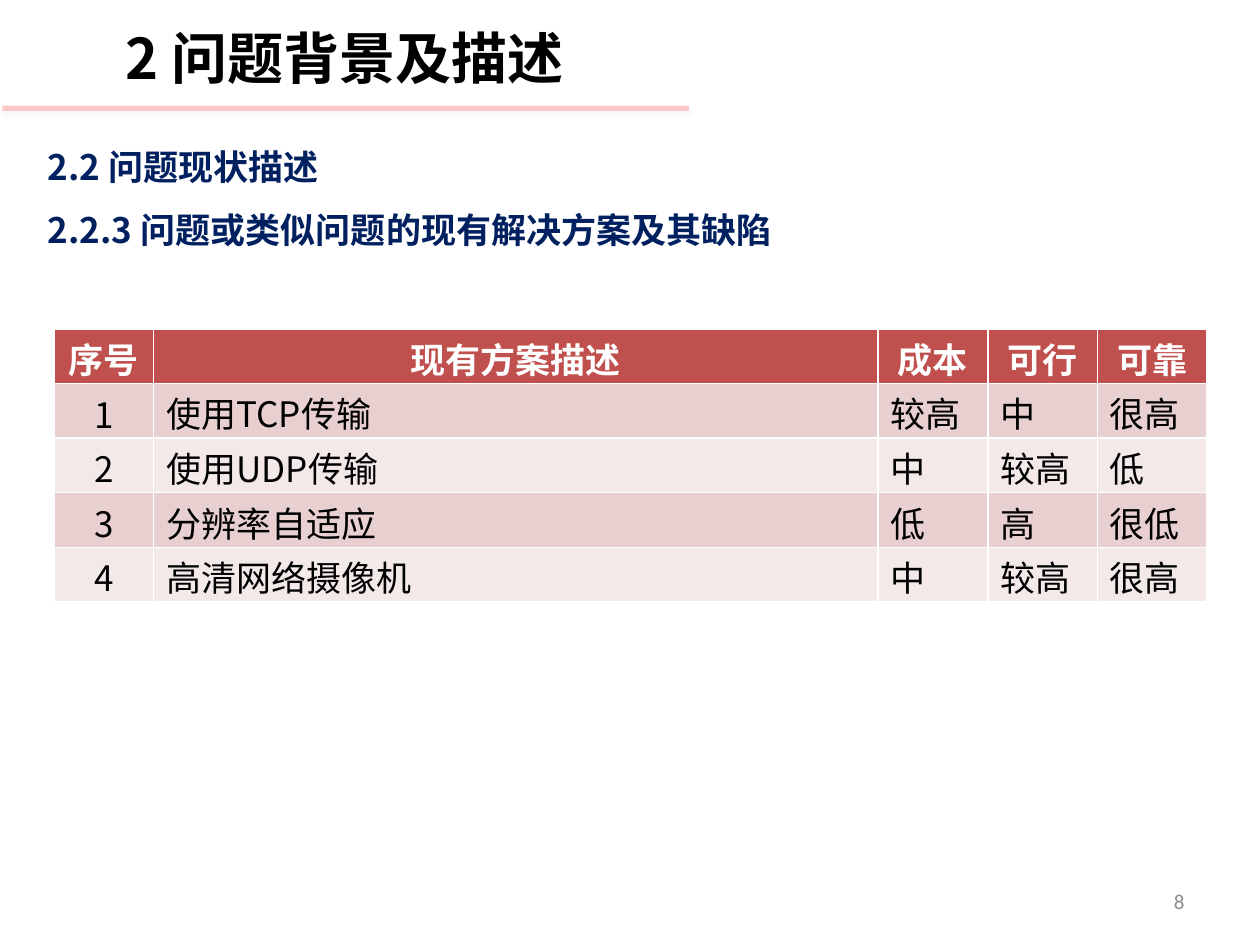
from lxml import etree
from pptx import Presentation
from pptx.dml.color import RGBColor
from pptx.enum.shapes import MSO_CONNECTOR
from pptx.enum.text import MSO_ANCHOR, MSO_AUTO_SIZE, PP_ALIGN
from pptx.oxml import parse_xml
from pptx.oxml.ns import nsdecls, qn
from pptx.util import Inches, Pt

LEFT, CENTER, RIGHT = PP_ALIGN.LEFT, PP_ALIGN.CENTER, PP_ALIGN.RIGHT
TOP, MIDDLE = MSO_ANCHOR.TOP, MSO_ANCHOR.MIDDLE
NO_FIT = MSO_AUTO_SIZE.NONE
STRAIGHT = MSO_CONNECTOR.STRAIGHT

CJK, LATIN = "Noto Sans CJK SC", "Calibri"
COLORS = {
    "text": "000000", "heading": "002060", "number": "8C8C8C", "rule": "FF0000",
    "shadow": "808080", "header": "C0504D", "header_text": "FFFFFF",
    "odd": "E8D0D0", "even": "F4E9E9",
}
SOLUTIONS = [
    ["序号", "现有方案描述", "成本", "可行", "可靠"],
    ["1", "使用TCP传输", "较高", "中", "很高"],
    ["2", "使用UDP传输", "中", "较高", "低"],
    ["3", "分辨率自适应", "低", "高", "很低"],
    ["4", "高清网络摄像机", "中", "较高", "很高"],
]
COLUMN_WIDTHS = [0.79, 5.75, 0.87, 0.87, 0.87]
ROW_HEIGHT = 0.43


def rgb(name):
    """Return the named palette colour."""
    return RGBColor.from_string(COLORS[name])


def write(tf, *lines, size=20, font=CJK, color="text", bold=False,
          align=LEFT, anchor=TOP, spacing=1.0):
    """Fill a text frame with formatted paragraphs."""
    tf.word_wrap = True
    tf.vertical_anchor = anchor
    for i, line in enumerate(lines):
        p = tf.add_paragraph() if i else tf.paragraphs[0]
        p.alignment, p.line_spacing = align, spacing
        p.space_before = Pt(0)
        r = p.add_run()
        r.text = line
        r.font.name, r.font.size, r.font.bold = font, Pt(size), bold
        r.font.color.rgb = rgb(color)
        etree.SubElement(r.font._element, qn("a:ea"), typeface=font)


def place(sp, box):
    """Move a placeholder into a box given in inches."""
    sp.left, sp.top, sp.width, sp.height = map(Inches, box)
    sp.text_frame.auto_size = NO_FIT


def add_title(s, box, text):
    """Set the title and the translucent rule beneath it."""
    place(s.shapes.title, box)
    write(s.shapes.title.text_frame, text, size=32, bold=True, align=CENTER)
    left, top, width, height = box
    y = Inches(top + height + 0.08)
    rule = s.shapes.add_connector(STRAIGHT, Inches(left + 0.02), y, Inches(left + width), y)
    rule.line.width = Pt(3)
    rule.line.color.rgb = rgb("rule")
    etree.SubElement(rule._element.find(".//" + qn("a:srgbClr")), qn("a:alpha"), val="20000")
    rule._element.spPr.append(parse_xml(
        f'<a:effectLst {nsdecls("a")}><a:outerShdw blurRad="{Pt(3.1)}" dist="{Pt(1.8)}" '
        f'dir="5400000" rotWithShape="0"><a:srgbClr val="{COLORS["shadow"]}">'
        '<a:alpha val="35000"/></a:srgbClr></a:outerShdw></a:effectLst>'))


def add_headings(s, box, *lines):
    """Set the section headings in the body placeholder without bullets."""
    body = s.placeholders[1]
    place(body, box)
    write(body.text_frame, *lines, color="heading", bold=True, spacing=1.5)
    for p in body.text_frame.paragraphs:
        pPr = p._p.get_or_add_pPr()
        pPr.set("marL", "0")
        pPr.set("indent", "0")
        etree.SubElement(pPr, qn("a:buNone"))


def add_solutions(s, left, top, rows, widths):
    """Add the table that rates the existing solutions."""
    table = s.shapes.add_table(
        len(rows), len(widths), Inches(left), Inches(top),
        Inches(sum(widths)), Inches(ROW_HEIGHT * len(rows))).table
    for column, width in zip(table.columns, widths):
        column.width = Inches(width)
    for i, row in enumerate(rows):
        table.rows[i].height = Inches(ROW_HEIGHT)
        fill = "header" if i == 0 else "odd" if i % 2 else "even"
        for j, text in enumerate(row):
            cell = table.cell(i, j)
            cell.margin_top, cell.margin_bottom = Inches(0.03), 0
            centred = i == 0 or j == 0
            cell.vertical_anchor = MIDDLE if centred else TOP
            cell.fill.solid()
            cell.fill.fore_color.rgb = rgb(fill)
            write(cell.text_frame, text, bold=i == 0,
                  color="text" if i else "header_text",
                  align=CENTER if centred else LEFT,
                  anchor=None)


def add_page_number(s, box, text):
    """Add the page number at the foot of the slide."""
    sp = s.shapes.add_textbox(*map(Inches, box))
    write(sp.text_frame, text, size=12, font=LATIN, color="number",
          align=RIGHT, anchor=MIDDLE)


def main():
    """Build and save the slide."""
    prs = Presentation()
    prs.slide_width, prs.slide_height = Inches(10), Inches(7.5)
    s = prs.slides.add_slide(prs.slide_layouts[1])
    add_title(s, (0, 0.14, 5.47, 0.64), "2 问题背景及描述")
    add_headings(s, (0.28, 0.94, 9.45, 4.54),
                 "2.2 问题现状描述", "2.2.3 问题或类似问题的现有解决方案及其缺陷")
    add_solutions(s, 0.43, 2.61, SOLUTIONS, COLUMN_WIDTHS)
    add_page_number(s, (7.17, 6.95, 2.33, 0.4), "8")
    prs.save("out.pptx")


if __name__ == "__main__":
    main()
